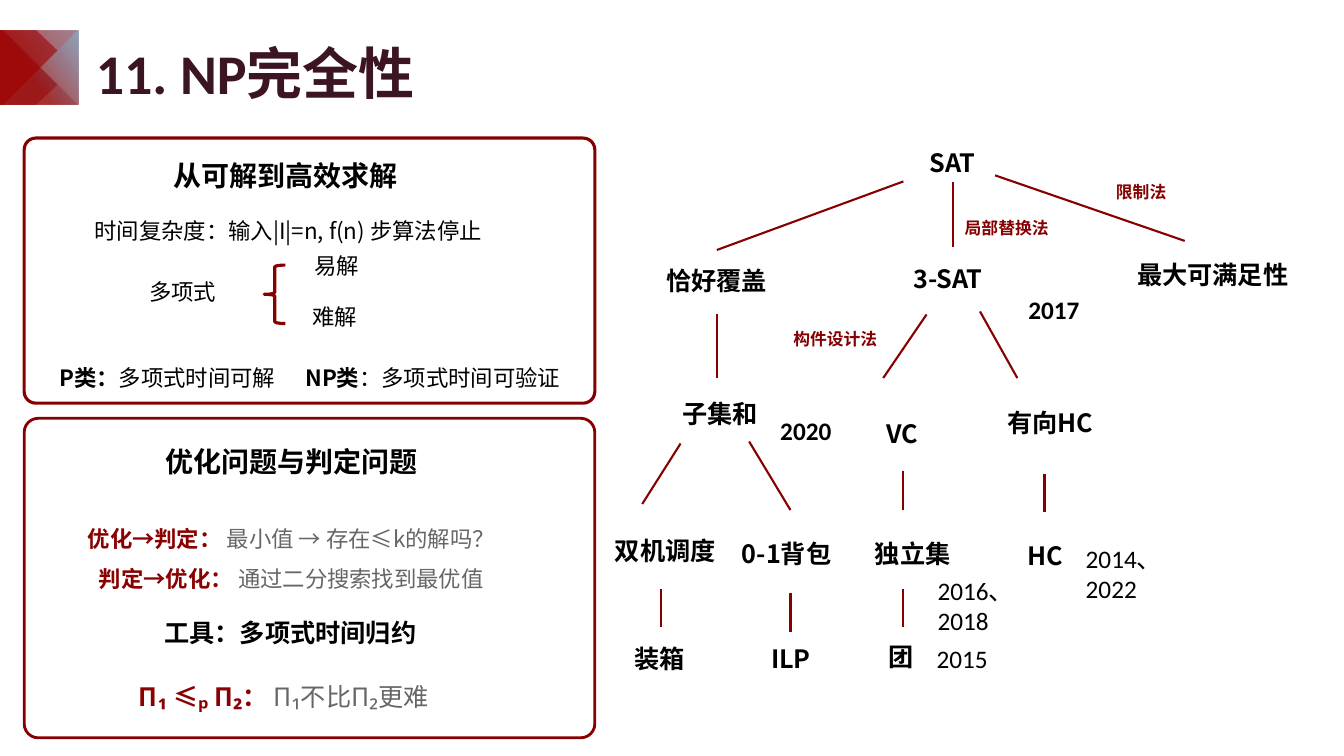
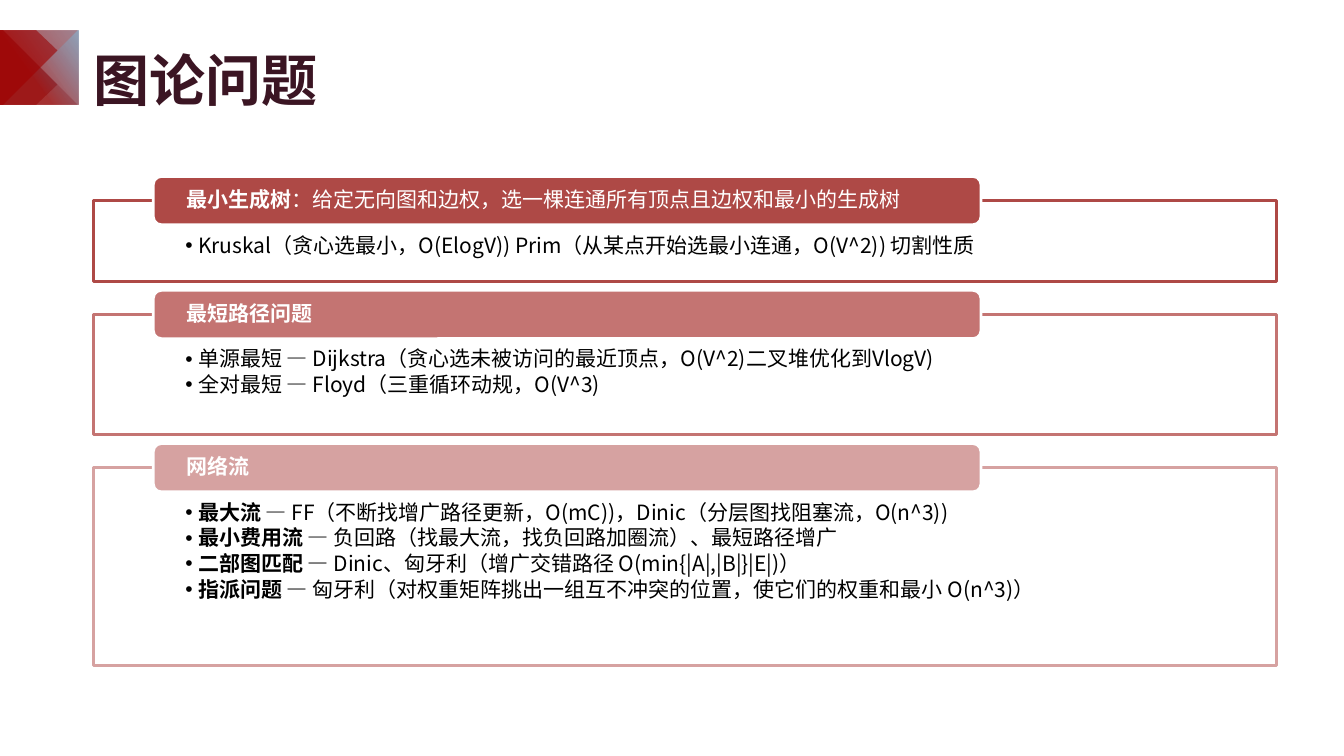
import pptx
import pptx.util
import pptx.dml.color
import pptx.enum.shapes
import pptx.enum.text
import pptx.oxml.ns
import lxml.etree

Inches, Pt = pptx.util.Inches, pptx.util.Pt
SHAPE = pptx.enum.shapes.MSO_SHAPE
ALIGN = pptx.enum.text.PP_ALIGN
ANCHOR = pptx.enum.text.MSO_ANCHOR
qn = pptx.oxml.ns.qn

C = {"title": "3B1523", "line": "860000", "accent": "8B0000", "black": "000000",
     "grey": "666666", "white": "FFFFFF", "band": "A00000", "facet": "BA5757",
     "blue": "305480", "red": "900000"}
CJK, LATIN = "Noto Sans CJK SC", "Calibri"

FACETS = [
    ("band", 62, [(0, 104), (36, 104), (57, 84), (3, 30), (0, 30)]),
    ("facet", 41, [(36, 104), (77, 104), (57, 84)]),
    ("gradient", 0, []),
    ("band", 62, [(0, 30), (36, 30), (57, 50), (3, 104), (0, 104)]),
    ("facet", 41, [(36, 30), (77, 30), (57, 50)]),
]

PANELS = [(1.37, 2.63, 2.25), (4.15, 3.17, 2)]
HEADINGS = [("从可解到高效求解", 1.62, 1.52, 20), ("工具：多项式时间归约", 1.53, 6.08, 18)]
NOTES = [("时间复杂度：输入|I|=n, f(n) 步算法停止", 0.84, 2.11, 5.06), ("多项式", 1.38, 2.71, 1.05),
         ("易解", 3.02, 2.45, 1.05), ("难解", 3, 2.96, 1.05)]
CLASSES = [(0.49, "P类：", "多项式时间可解"), (2.93, "NP类", "：多项式时间可验证")]
CONVERSIONS = [("优化→判定： ", "最小值 → 存在≤k的解吗？"),
               ("判定→优化： ", "通过二分搜索找到最优值")]
REDUCTION = ("Π₁ ≤ₚ Π₂： ", "Π₁不比Π₂更难")

PROBLEMS = [
    ("SAT", 9.12, 1.41), ("恰好覆盖", 6.51, 2.58), ("3-SAT", 8.96, 2.56),
    ("最大可满足性", 11.18, 2.52), ("子集和", 6.67, 3.9), ("VC", 8.69, 4.1),
    ("有向HC", 9.89, 3.99), ("双机调度", 6, 5.26), ("0-1背包", 7.26, 5.29),
    ("独立集", 8.58, 5.29), ("HC", 10.09, 5.31), ("装箱", 6.19, 6.33),
    ("ILP", 7.55, 6.33), ("团", 8.71, 6.31),
]
METHODS = [("局部替换法", 9.47, 2.11), ("限制法", 10.97, 1.75), ("构件设计法", 7.77, 3.21)]
YEARS = [("2015", 9.19, 6.33, False), ("2016、2018", 9.2, 5.66, False),
         ("2017", 10.1, 2.87, True), ("2014、2022", 10.67, 5.34, False),
         ("2020", 7.64, 4.07, True)]
EDGES = [
    (8.96, 1.8, 7.11, 2.48), (9.45, 1.81, 9.45, 2.45), (9.87, 1.74, 11.75, 2.39),
    (7.11, 3.12, 7.11, 3.75), (9.19, 3.12, 8.76, 3.75), (9.72, 3.09, 10.09, 3.75),
    (6.75, 4.4, 6.37, 5), (7.43, 4.38, 7.84, 5.06), (8.96, 4.67, 8.96, 5.06),
    (10.36, 4.7, 10.36, 5.08), (6.56, 5.84, 6.56, 6.22), (7.84, 5.88, 7.84, 6.27),
    (8.96, 5.84, 8.96, 6.22),
]

TOPICS = [
    ("AE4946", 0.8, ("最小生成树", "：给定无向图和边权，选一棵连通所有顶点且边权和最小的生成树"), [
        ("", "Kruskal（贪心选最小，O(ElogV)) Prim（从某点开始选最小连通，O(V^2)) 切割性质")]),
    ("C47472", 1.19, ("最短路径问题", ""), [
        ("", "单源最短 — Dijkstra（贪心选未被访问的最近顶点，O(V^2)二叉堆优化到VlogV)"),
        ("", "全对最短 — Floyd（三重循环动规，O(V^3)")]),
    ("D6A2A1", 1.96, ("网络流", ""), [
        ("最大流 ", "— FF（不断找增广路径更新，O(mC))，Dinic（分层图找阻塞流，O(n^3))"),
        ("最小费用流 ", "— 负回路（找最大流，找负回路加圈流）、最短路径增广"),
        ("二部图匹配 — ", "Dinic、匈牙利（增广交错路径 O(min{|A|,|B|}|E|)）"),
        ("指派问题 — ", "匈牙利（对权重矩阵挑出一组互不冲突的位置，使它们的权重和最小 O(n^3)）")]),
]


def rgb(value):
    return pptx.dml.color.RGBColor.from_string(value)


def set_alpha(color_parent, percent):
    for clr in color_parent.iter(qn("a:srgbClr")):
        lxml.etree.SubElement(clr, qn("a:alpha")).set("val", str(percent * 1000))


def paint(shape, fill=None, line=None, width=2):
    if fill:
        shape.fill.solid()
        shape.fill.fore_color.rgb = rgb(fill)
    else:
        shape.fill.background()
    if line:
        shape.line.color.rgb = rgb(line)
        shape.line.width = Pt(width)
    else:
        shape.line.fill.background()


def add_box(s, kind, x, y, w, h, **style):
    shape = s.shapes.add_shape(kind, Inches(x), Inches(y), Inches(w), Inches(h))
    shape.shadow.inherit = False
    paint(shape, **style)
    return shape


def write(p, runs, size, font=CJK, align=ALIGN.LEFT, spacing=1.0):
    """Fill a paragraph with (text, bold, colour) runs."""
    p.alignment = align
    p.line_spacing = spacing
    p.space_before = Pt(0)
    for text, bold, color in runs:
        if not text:
            continue
        r = p.add_run()
        r.text = text
        r.font.size, r.font.bold, r.font.name = Pt(size), bold, font
        r.font.color.rgb = rgb(color)
        ea = lxml.etree.SubElement(r.font._element, qn("a:ea"))
        ea.set("typeface", CJK)


def add_text(s, x, y, w, h, runs, size, **style):
    tf = s.shapes.add_textbox(Inches(x), Inches(y), Inches(w), Inches(h)).text_frame
    tf.word_wrap = True
    write(tf.paragraphs[0], runs, size, **style)
    return tf


def set_frame(tf, left, top, right, bottom, anchor):
    tf.margin_left, tf.margin_top = Inches(left), Inches(top)
    tf.margin_right, tf.margin_bottom = Inches(right), Inches(bottom)
    tf.vertical_anchor = anchor
    tf.word_wrap = True
    tf.auto_size = pptx.enum.text.MSO_AUTO_SIZE.NONE


def place(shape, x, y, w, h):
    shape.left, shape.top = Inches(x), Inches(y)
    shape.width, shape.height = Inches(w), Inches(h)


def set_title(s, text, x, y):
    title = s.shapes.title
    place(title, x, y, 12, 0.67)
    set_frame(title.text_frame, 0, 0, 0, 0, ANCHOR.MIDDLE)
    write(title.text_frame.paragraphs[0], [(text, True, C["title"])], 40, font=LATIN)


def add_emblem(prs, s):
    """Draw the faceted emblem and move it to the slide master."""
    for i, (kind, opacity, points) in enumerate(FACETS):
        if points:
            outline = s.shapes.build_freeform(*points[0], scale=Inches(0.01))
            outline.add_line_segments(points[1:])
            shape = outline.convert_to_shape()
            shape.shadow.inherit = False
            paint(shape, fill=C[kind])
            set_alpha(shape.element.spPr, opacity)
        else:
            shape = add_box(s, SHAPE.RECTANGLE, 0, 0.3, 0.78, 0.74)
            shape.fill.gradient()
            shape.fill.gradient_angle = 216
            stops = zip(shape.fill.gradient_stops, (0, 0.61), ("blue", "red"), (53, 73))
            for stop, position, color, stop_opacity in stops:
                stop.position = position
                stop.color.rgb = rgb(C[color])
                set_alpha(stop._gs, stop_opacity)
        shape.element.nvSpPr.cNvPr.set("id", str(20 + i))
        prs.slide_master.shapes.element.insert(2 + i, shape.element)


def build_np(s):
    set_title(s, "11. NP完全性", 0.95, 0.38)
    for y, h, width in PANELS:
        panel = add_box(s, SHAPE.ROUNDED_RECTANGLE, 0.24, y, 5.66, h,
                        line=C["line"], width=width)
        panel.adjustments[0] = 0.044
    for text, x, y, size in HEADINGS:
        add_text(s, x, y, 3.85, 0.44, [(text, True, C["black"])], size)
    for text, x, y, w in NOTES:
        add_text(s, x, y, w, 0.37, [(text, False, C["black"])], 16)
    add_box(s, SHAPE.LEFT_BRACE, 2.62, 2.63, 0.21, 0.58, line=C["line"], width=2.25)
    for x, name, meaning in CLASSES:
        runs = [(name, True, C["black"]), (meaning, False, C["black"])]
        add_text(s, x, 3.43, 2.95, 0.46, runs, 16, spacing=1.5)

    tf = add_text(s, 0.54, 4.36, 4.7, 1.92, [("优化问题与判定问题", True, C["black"])], 20,
                  align=ALIGN.CENTER)
    for i, (name, meaning) in enumerate(CONVERSIONS):
        p = tf.add_paragraph()
        write(p, [(name, True, C["accent"]), (meaning, False, C["grey"])], 16,
              align=ALIGN.CENTER, spacing=1.5)
        p.space_before = Pt(0 if i else 24)
    name, meaning = REDUCTION
    add_text(s, 1.28, 6.71, 4.5, 0.4,
             [(name, True, C["accent"]), (meaning, False, C["grey"])], 18)

    for x1, y1, x2, y2 in EDGES:
        edge = s.shapes.add_connector(pptx.enum.shapes.MSO_CONNECTOR.STRAIGHT,
                                      Inches(x1), Inches(y1), Inches(x2), Inches(y2))
        edge.line.color.rgb = rgb(C["line"])
        edge.line.width = Pt(1.5)
        lxml.etree.SubElement(edge.element.spPr, qn("a:effectLst"))
    for text, x, y in PROBLEMS:
        add_text(s, x, y, 2, 0.4, [(text, True, C["black"])], 18)
    for text, x, y in METHODS:
        add_text(s, x, y, 1.2, 0.3, [(text, True, C["line"])], 12)
    for text, x, y, bold in YEARS:
        add_text(s, x, y, 1.08, 0.4, [(text, bold, C["black"])], 18, font=LATIN)


def build_graphs(s):
    set_title(s, "图论问题", 0.93, 0.45)
    bodies = list(s.placeholders)[1:]
    for spare in bodies[len(TOPICS):]:
        spare.element.getparent().remove(spare.element)
    top = 1.99
    for body, (color, height, heading, items) in zip(bodies, TOPICS):
        place(body, 0.93, top, 11.73, height)
        paint(body, line=color)
        tf = body.text_frame
        set_frame(tf, 0.91, 0.34, 0.91, 0.12, ANCHOR.TOP)
        for i, (name, detail) in enumerate(items):
            p = tf.add_paragraph() if i else tf.paragraphs[0]
            pPr = p._p.get_or_add_pPr()
            pPr.set("marL", str(Inches(0.125)))
            pPr.set("indent", str(-Inches(0.125)))
            lxml.etree.SubElement(pPr, qn("a:buChar")).set("char", "•")
            write(p, [(name, True, C["black"]), (detail, False, C["black"])], 15, spacing=0.9)
            p.space_after = Pt(2.25)
        tab = add_box(s, SHAPE.ROUNDED_RECTANGLE, 1.52, top - 0.24, 8.21, 0.48,
                      fill=color, line=C["white"])
        set_frame(tab.text_frame, 0.31, 0, 0.31, 0, ANCHOR.MIDDLE)
        name, detail = heading
        write(tab.text_frame.paragraphs[0],
              [(name, True, C["white"]), (detail, False, C["white"])], 15, spacing=0.9)
        top += height + 0.33


def main():
    prs = pptx.Presentation()
    prs.slide_width, prs.slide_height = Inches(13.33), Inches(7.5)
    np_slide = prs.slides.add_slide(prs.slide_layouts.get_by_name("Title Only"))
    add_emblem(prs, np_slide)
    build_np(np_slide)
    build_graphs(prs.slides.add_slide(prs.slide_layouts.get_by_name("Comparison")))
    prs.save("out.pptx")


if __name__ == "__main__":
    main()
